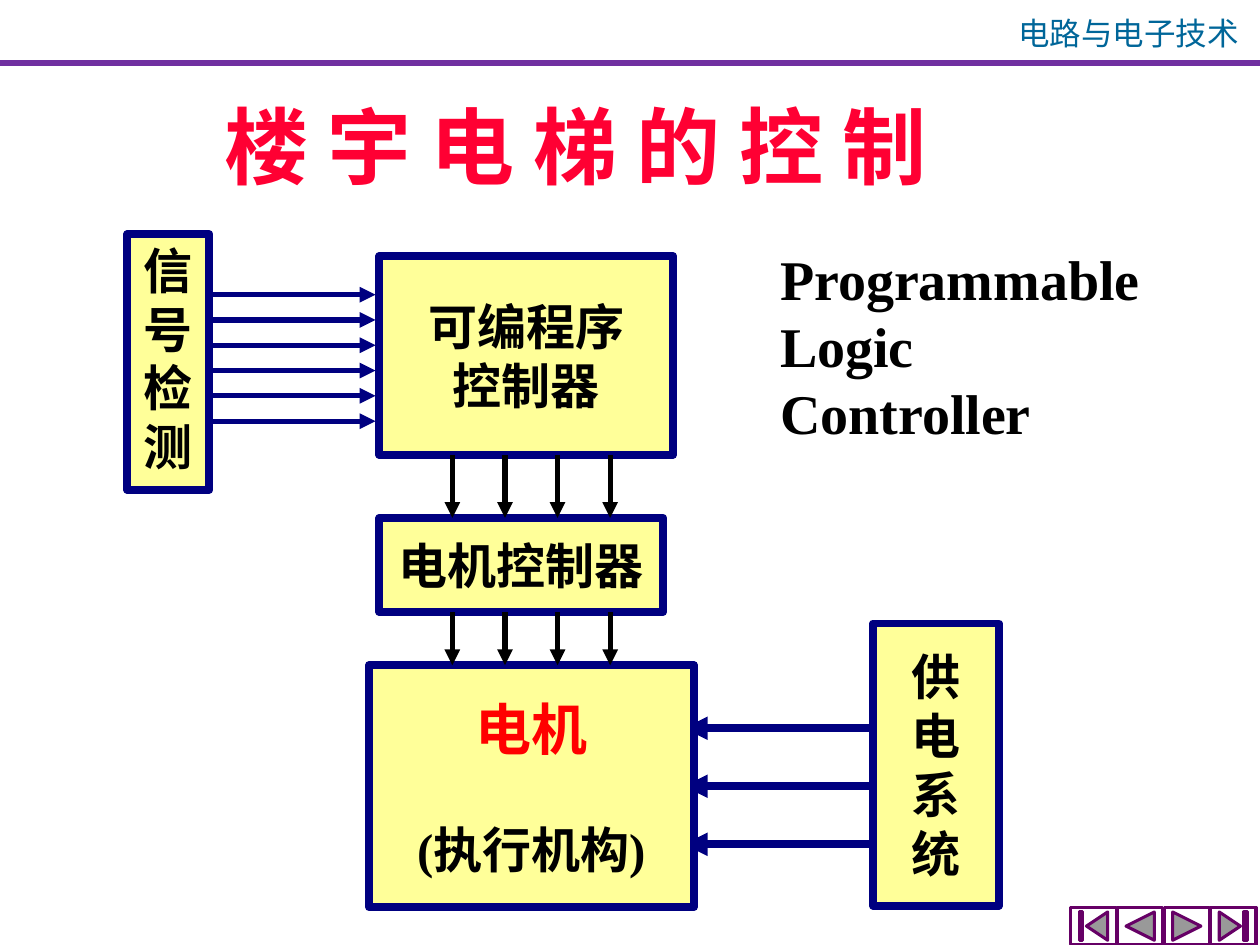
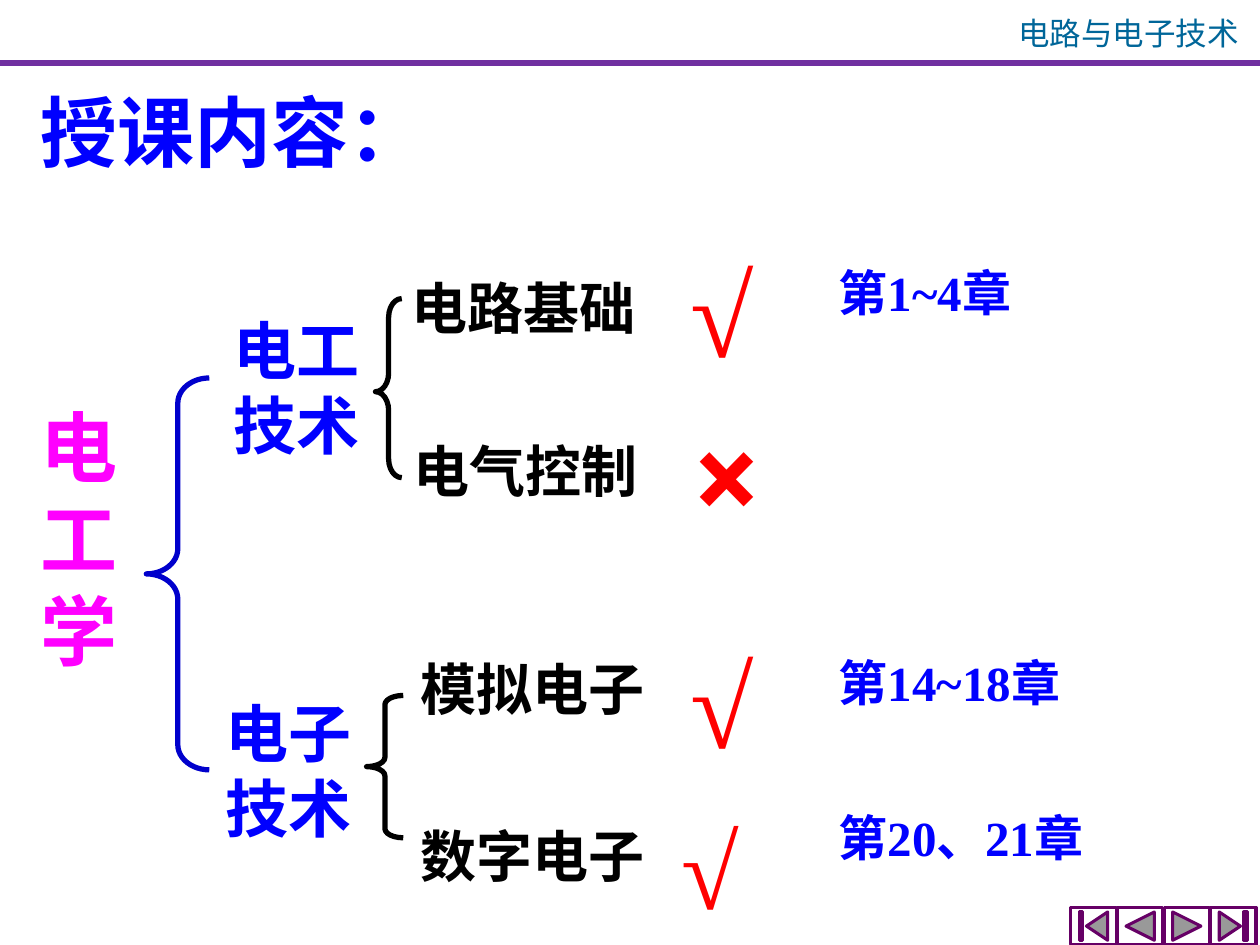
"""Builds two course slides: a lift control diagram and a course outline."""
from lxml import etree
from pptx import Presentation
from pptx import util as u
from pptx.dml.color import RGBColor
from pptx.enum import shapes, text
from pptx.oxml.ns import qn

TEAL = RGBColor(0x00, 0x66, 0x99)
VIOLET = RGBColor(0x70, 0x30, 0xA0)
PLUM = RGBColor(0x66, 0x00, 0x66)
ROSE = RGBColor(0xFF, 0x00, 0x33)
RED = RGBColor(0xFF, 0x00, 0x00)
PINK = RGBColor(0xFF, 0x00, 0xFF)
BLUE = RGBColor(0x00, 0x00, 0xFF)
MID = RGBColor(0x00, 0x00, 0xCC)
NAVY = RGBColor(0x00, 0x00, 0x80)
CREAM = RGBColor(0xFF, 0xFF, 0x99)
WHITE = RGBColor(0xFF, 0xFF, 0xFF)
BLACK = RGBColor(0x00, 0x00, 0x00)
SERIF = "Times New Roman"
SANS = "Noto Sans CJK SC"
KIND = shapes.MSO_SHAPE
ALIGN = text.PP_ALIGN
WIDE, HIGH = 25.4, 19.05
BUTTONS = (KIND.ACTION_BUTTON_BEGINNING, KIND.ACTION_BUTTON_BACK_OR_PREVIOUS,
           KIND.ACTION_BUTTON_FORWARD_OR_NEXT, KIND.ACTION_BUTTON_END)


class Deck:
    """Holds the shared style and the current slide."""

    def __init__(self):
        self.prs = Presentation()
        self.prs.slide_width = u.Cm(WIDE)
        self.prs.slide_height = u.Cm(HIGH)
        self.slide = None

    def start(self, layout):
        self.slide = self.prs.slides.add_slide(self.prs.slide_layouts[layout])
        self.label((20.09, 0.15, 5.31, 1.02), ["电路与电子技术"], 18, TEAL,
                   font=SANS, bold=False, align=ALIGN.CENTER)
        for y in (1.24, 1.3):
            self.line(0, y, WIDE, y, VIOLET, 1.5)
        for i, kind in enumerate(BUTTONS):
            self.shape(kind, (21.59 + 0.94 * i, 18.29, 0.91, 0.76), PLUM, 1.75, WHITE)

    def fill(self, frame, lines, size, color, font=SERIF, bold=True,
             align=ALIGN.LEFT, gap=1.0):
        frame.text = "\n".join(lines)
        for para in frame.paragraphs:
            para.alignment = align
            para.line_spacing = gap
            para.space_before = u.Pt(0)
            para.font.size = u.Pt(size)
            para.font.name = font
            para.font.bold = bold
            para.font.color.rgb = color

    def label(self, area, lines, size, color, **style):
        box = self.slide.shapes.add_textbox(*map(u.Cm, area))
        box.text_frame.word_wrap = True
        self.fill(box.text_frame, lines, size, color, **style)

    def holder(self, item, area, lines, size, color, **style):
        item.left, item.top, item.width, item.height = map(u.Cm, area)
        frame = item.text_frame
        frame.auto_size = text.MSO_AUTO_SIZE.NONE
        frame.vertical_anchor = text.MSO_ANCHOR.TOP
        self.fill(frame, lines, size, color, **style)

    def title(self, area, words, size, color, **style):
        self.holder(self.slide.shapes.title, area, [words], size, color, **style)

    def body(self, area, lines, size, color):
        item = self.slide.placeholders[1]
        self.holder(item, area, lines, size, color)
        for para in item.text_frame.paragraphs:
            props = para._p.get_or_add_pPr()
            props.set("marL", "0")
            props.set("indent", "0")
            props.find(qn("a:defRPr")).addprevious(etree.Element(qn("a:buNone")))

    def shape(self, kind, area, color, width, fill=None):
        item = self.slide.shapes.add_shape(kind, *map(u.Cm, area))
        item.shadow.inherit = False
        item.line.color.rgb = color
        item.line.width = u.Pt(width)
        if fill is None:
            item.fill.background()
        else:
            item.fill.solid()
            item.fill.fore_color.rgb = fill
        return item

    def box(self, area, lines, anchor=text.MSO_ANCHOR.MIDDLE):
        frame = self.shape(KIND.RECTANGLE, area, NAVY, 4.5, CREAM).text_frame
        frame.word_wrap = False
        frame.vertical_anchor = anchor
        self.fill(frame, lines, 28, BLACK, align=ALIGN.CENTER)
        return frame.paragraphs

    def brace(self, area, color, curve, point=0.5):
        item = self.shape(KIND.LEFT_BRACE, area, color, 3)
        item.adjustments[0] = curve
        item.adjustments[1] = point

    def line(self, x1, y1, x2, y2, color, width, arrow=False):
        item = self.slide.shapes.add_connector(
            shapes.MSO_CONNECTOR.STRAIGHT, *map(u.Cm, (x1, y1, x2, y2)))
        item.line.color.rgb = color
        item.line.width = u.Pt(width)
        props = item._element.spPr
        etree.SubElement(props, qn("a:effectLst"))
        if arrow:
            etree.SubElement(props.find(qn("a:ln")), qn("a:tailEnd"), type="triangle")


def lift(deck):
    """Draws the lift control diagram."""
    deck.start(1)
    deck.title((4.27, 1.78, 17.53, 2.29), "楼 宇 电 梯 的 控 制", 48, ROSE, font=SANS)
    deck.box((2.57, 4.72, 1.65, 5.16), "信号检测", text.MSO_ANCHOR.TOP)
    deck.box((17.6, 12.57, 2.54, 5.69), "供电系统")
    for i in range(3):
        y = 14.68 + 1.17 * i
        deck.line(17.6, y, 13.79, y, NAVY, 4.5, True)
    motor, note = deck.box((7.44, 13.41, 6.55, 4.88), ["电机", "(执行机构)"])
    motor.font.size = u.Pt(32)
    motor.font.color.rgb = RED
    note.space_before = u.Pt(33)
    deck.box((7.65, 5.16, 5.92, 4.01), ["可编程序", "控制器"])
    deck.body((15.47, 4.8, 7.77, 4.32), ["Programmable", "Logic", "Controller"], 32, BLACK)
    for i in range(6):
        y = 5.94 + 0.51 * i
        deck.line(4.17, y, 7.57, y, NAVY, 3, True)
    deck.box((7.65, 10.44, 5.72, 1.9), ["电机控制器"])
    for top, end in ((9.17, 10.44), (12.34, 13.41)):
        for i in range(4):
            x = 9.12 + 1.06 * i
            deck.line(x, top, x, end, BLACK, 3, True)


def outline(deck):
    """Draws the course outline tree."""
    deck.start(5)
    deck.title((0.56, 1.57, 8.38, 2.13), "授课内容：", 44, BLUE)
    deck.label((0.56, 7.92, 2.08, 9.27), "电工学", 44, PINK)
    for x, y, name in ((4.45, 6.15, "电工"), (4.29, 13.87, "电子")):
        deck.label((x, y, 3.1, 3.33), [name, "技术"], 36, BLUE)
    deck.brace((2.95, 7.62, 1.27, 7.9), MID, 0.4)
    deck.brace((7.57, 6.02, 0.53, 3.61), BLACK, 0.71, 0.52)
    deck.brace((7.39, 14.02, 0.74, 2.87), BLACK, 0.25)
    for x, y, name, gap in ((8.05, 4.72, "电路基础", 1.5), (8.08, 8, "电气控制", 1.5),
                            (8.23, 13.06, "模拟电子", 1.0), (8.23, 15.75, "数字电子", 1.5)):
        deck.label((x, y, 5.3, 2.31), [name], 32, BLACK, gap=gap)
    for x, y, mark, size, font in ((13.67, 3.35, "√", 66, SERIF), (13.79, 6.6, "×", 66, "Roboto"),
                                   (13.67, 11.23, "√", 66, SERIF), (13.49, 14.83, "√", 60, SERIF)):
        deck.label((x, y, 2.2, 4), [mark], size, RED, font=font, gap=1.5)
    for y, width, name in ((5.16, 4.04, "第1~4章"), (13.03, 5.03, "第14~18章"),
                           (16.15, 5.51, "第20、21章")):
        deck.label((16.66, y, width, 1.45), [name], 28, BLUE)


def main():
    """Builds and saves the deck."""
    deck = Deck()
    lift(deck)
    outline(deck)
    deck.prs.save("out.pptx")


if __name__ == "__main__":
    main()
